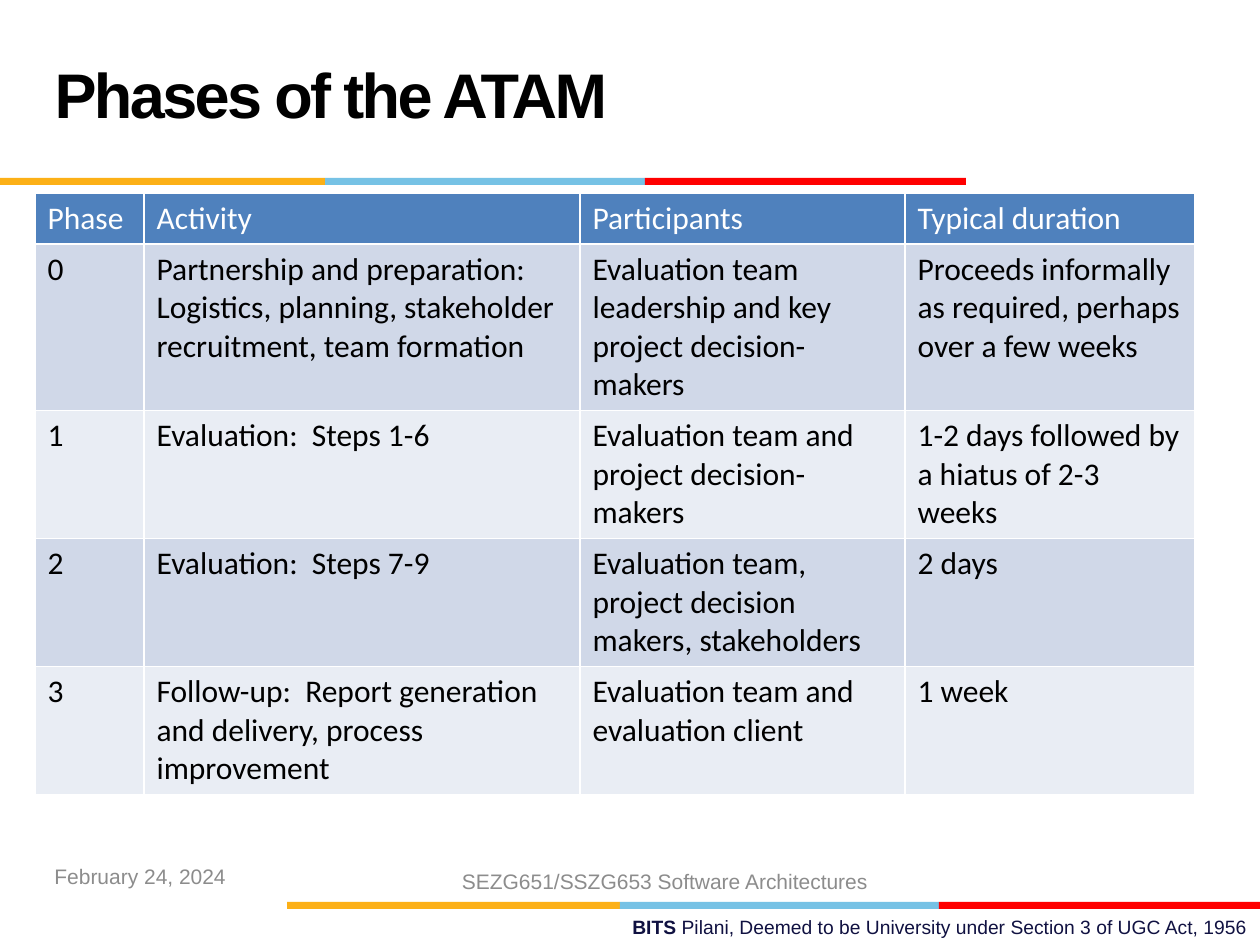
"""Build the slide on the phases of the ATAM."""
from dataclasses import dataclass
from itertools import pairwise

from lxml import etree
from pptx import Presentation, util as u
from pptx.dml.color import RGBColor
from pptx.enum import shapes, text
from pptx.oxml.ns import qn

SCALE = 914400 / 126


@dataclass(frozen=True)
class Theme:
    sans: str = "Arial"
    body: str = "Calibri"
    black: str = "000000"
    white: str = "FFFFFF"
    gray: str = "8C8C8C"
    navy: str = "101141"
    head: str = "4F81BD"
    bands: tuple = ("D0D8E8", "E9EDF4")
    strip: tuple = ("FCB017", "76C2E5", "FF0000")
    title: int = 36
    cell: int = 18
    foot: int = 12
    note: int = 11


@dataclass(frozen=True)
class Box:
    left: int
    top: int
    width: int
    height: int

    def emu(self) -> tuple:
        return tuple(px(n) for n in (self.left, self.top, self.width, self.height))


@dataclass(frozen=True)
class Strip:
    top: int
    edges: tuple


@dataclass(frozen=True)
class Label:
    box: Box
    runs: tuple
    size: int
    color: str
    align: text.PP_ALIGN


T = Theme()
ALIGN = text.PP_ALIGN
COLS = (109, 436, 325, 290)
ROWS = (51, 164, 126, 126, 126)
CELLS = (
    ("Phase", "Activity", "Participants", "Typical duration"),
    ("0", "Partnership and preparation:  Logistics, planning, stakeholder recruitment, team formation",
     "Evaluation team leadership and key project decision-makers",
     "Proceeds informally as required, perhaps over a few weeks"),
    ("1", "Evaluation:  Steps 1-6", "Evaluation team and project decision-makers",
     "1-2 days followed by a hiatus of 2-3 weeks"),
    ("2", "Evaluation:  Steps 7-9",
     "Evaluation team, project decision makers, stakeholders", "2 days"),
    ("3", "Follow-up:  Report generation and delivery, process improvement",
     "Evaluation team and evaluation client", "1 week"),
)
STRIPS = (
    Strip(178, (0, 325, 645, 966)),
    Strip(902, (287, 620, 939, 1260)),
)
LABELS = (
    Label(Box(451, 908, 809, 37),
          (("BITS ", True),
           ("Pilani, Deemed to be University under Section 3 of UGC Act, 1956", False)),
          T.note, T.navy, ALIGN.RIGHT),
    Label(Box(42, 851, 294, 50), (("February 24, 2024", False),),
          T.foot, T.gray, ALIGN.LEFT),
    Label(Box(438, 856, 454, 50), (("SEZG651/SSZG653 Software Architectures", False),),
          T.foot, T.gray, ALIGN.CENTER),
)


def px(n: int) -> int:
    return round(n * SCALE)


def write(para, words: str, *, size: int, color: str, font: str = T.sans,
          bold: bool = False, space: int = 0) -> None:
    run = para.add_run()
    run.text = words
    run.font.size = u.Pt(size)
    run.font.name = font
    run.font.bold = bold
    run.font.color.rgb = RGBColor.from_string(color)
    if space:
        run.font._element.set("spc", str(space))


def draw_title(slide) -> None:
    title = slide.shapes.title
    title.left, title.top, title.width, title.height = Box(42, 21, 872, 158).emu()
    frame = title.text_frame
    frame.vertical_anchor = text.MSO_ANCHOR.MIDDLE
    para = frame.paragraphs[0]
    para.alignment = ALIGN.LEFT
    para.line_spacing = u.Pt(T.title)
    write(para, "Phases of the ATAM", size=T.title, color=T.black, bold=True, space=-150)


def draw_strip(slide, strip: Strip) -> None:
    for (left, right), color in zip(pairwise(strip.edges), T.strip):
        box = Box(left, strip.top, right - left, 7)
        bar = slide.shapes.add_shape(shapes.MSO_SHAPE.RECTANGLE, *box.emu())
        bar.shadow.inherit = False
        bar.fill.solid()
        bar.fill.fore_color.rgb = RGBColor.from_string(color)
        bar.line.fill.background()


def draw_label(slide, label: Label) -> None:
    frame = slide.shapes.add_textbox(*label.box.emu()).text_frame
    frame.word_wrap = True
    frame.vertical_anchor = text.MSO_ANCHOR.MIDDLE
    para = frame.paragraphs[0]
    para.alignment = label.align
    for words, bold in label.runs:
        write(para, words, size=label.size, color=label.color, bold=bold)


def edge(cell) -> None:
    props = cell._tc.get_or_add_tcPr()
    for spot, side in enumerate(("a:lnL", "a:lnR", "a:lnT", "a:lnB")):
        line = etree.Element(qn(side), w=str(u.Pt(1)))
        fill = etree.SubElement(line, qn("a:solidFill"))
        etree.SubElement(fill, qn("a:srgbClr"), val=T.white)
        props.insert(spot, line)


def draw_table(slide) -> None:
    box = Box(35, 193, sum(COLS), sum(ROWS))
    table = slide.shapes.add_table(len(ROWS), len(COLS), *box.emu()).table
    for col, width in zip(table.columns, COLS):
        col.width = px(width)
    for r, (row, height) in enumerate(zip(table.rows, ROWS)):
        row.height = px(height)
        back = T.bands[(r - 1) % 2] if r else T.head
        for cell, words in zip(row.cells, CELLS[r]):
            cell.fill.solid()
            cell.fill.fore_color.rgb = RGBColor.from_string(back)
            edge(cell)
            write(cell.text_frame.paragraphs[0], words, size=T.cell, font=T.body,
                  color=T.black if r else T.white)


def main() -> None:
    deck = Presentation()
    deck.slide_width, deck.slide_height = px(1260), px(945)
    slide = deck.slides.add_slide(deck.slide_layouts[5])
    for strip in STRIPS:
        draw_strip(slide, strip)
    draw_table(slide)
    draw_title(slide)
    for label in LABELS:
        draw_label(slide, label)
    deck.save("out.pptx")


if __name__ == "__main__":
    main()
